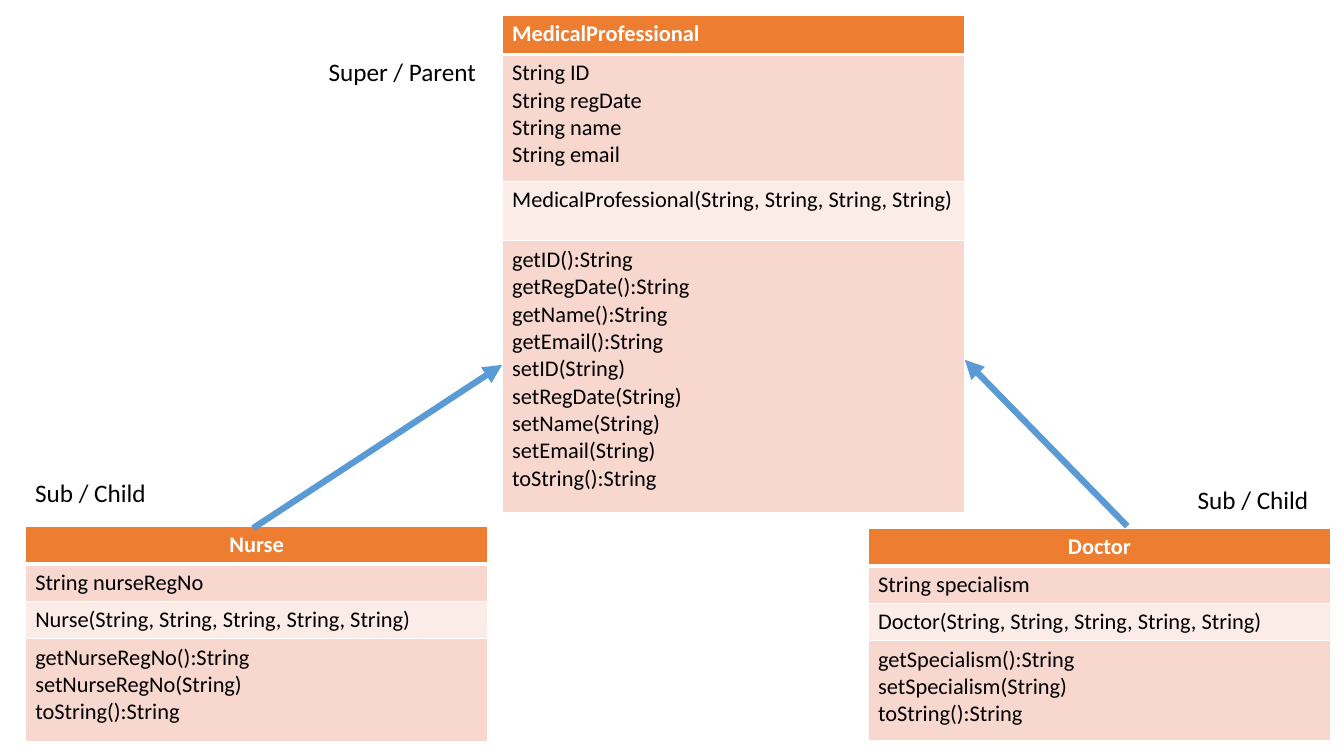
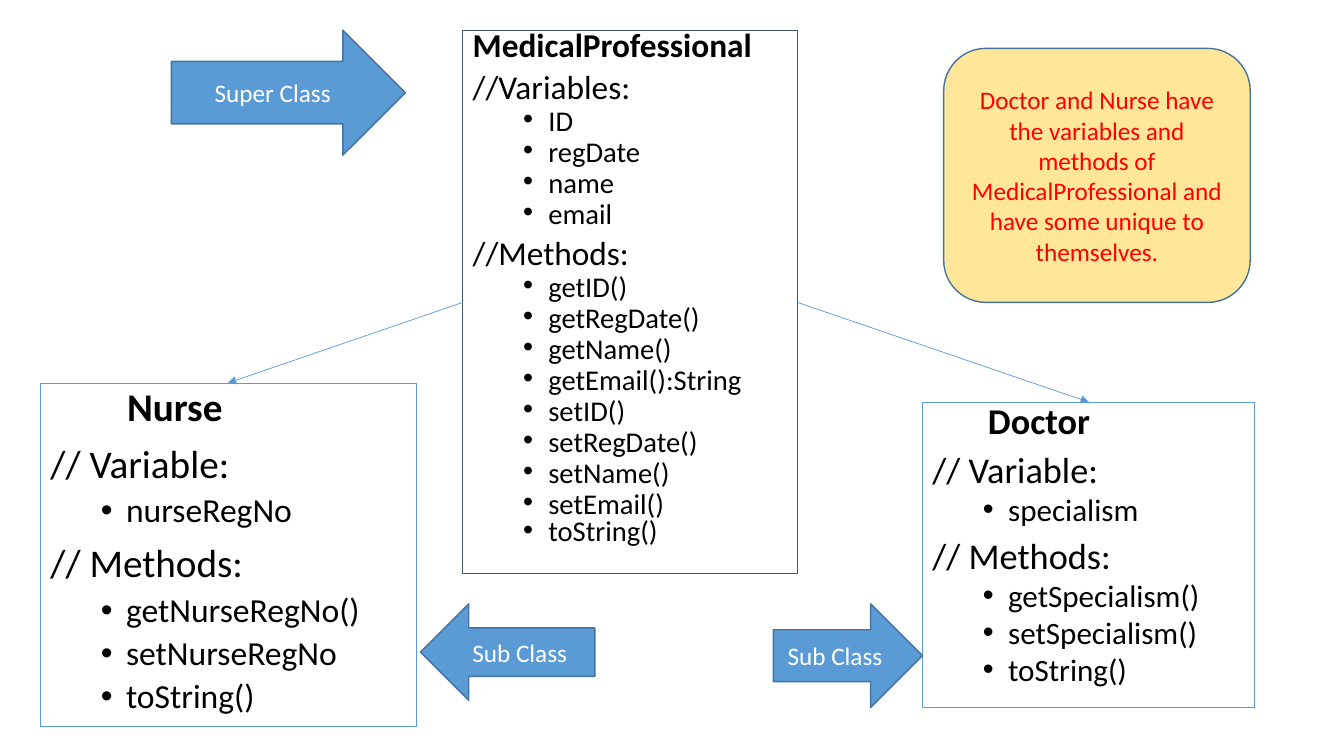
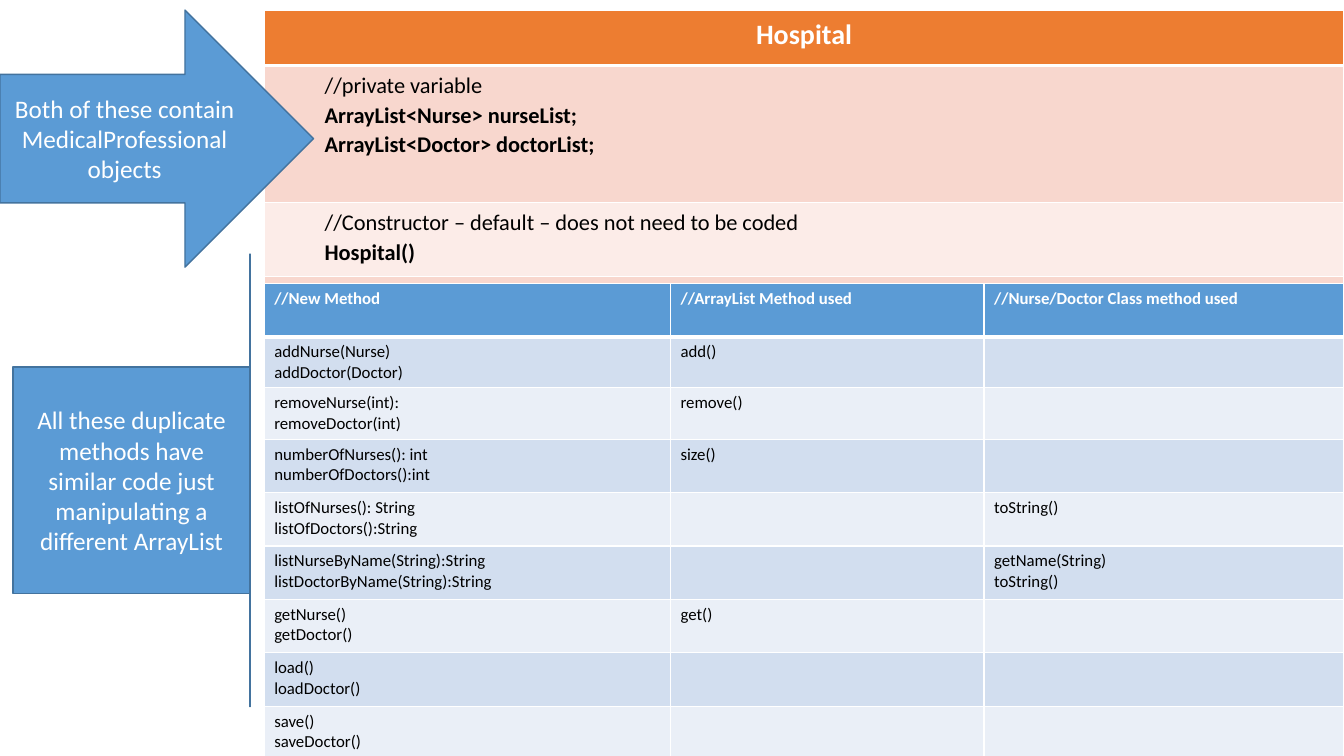
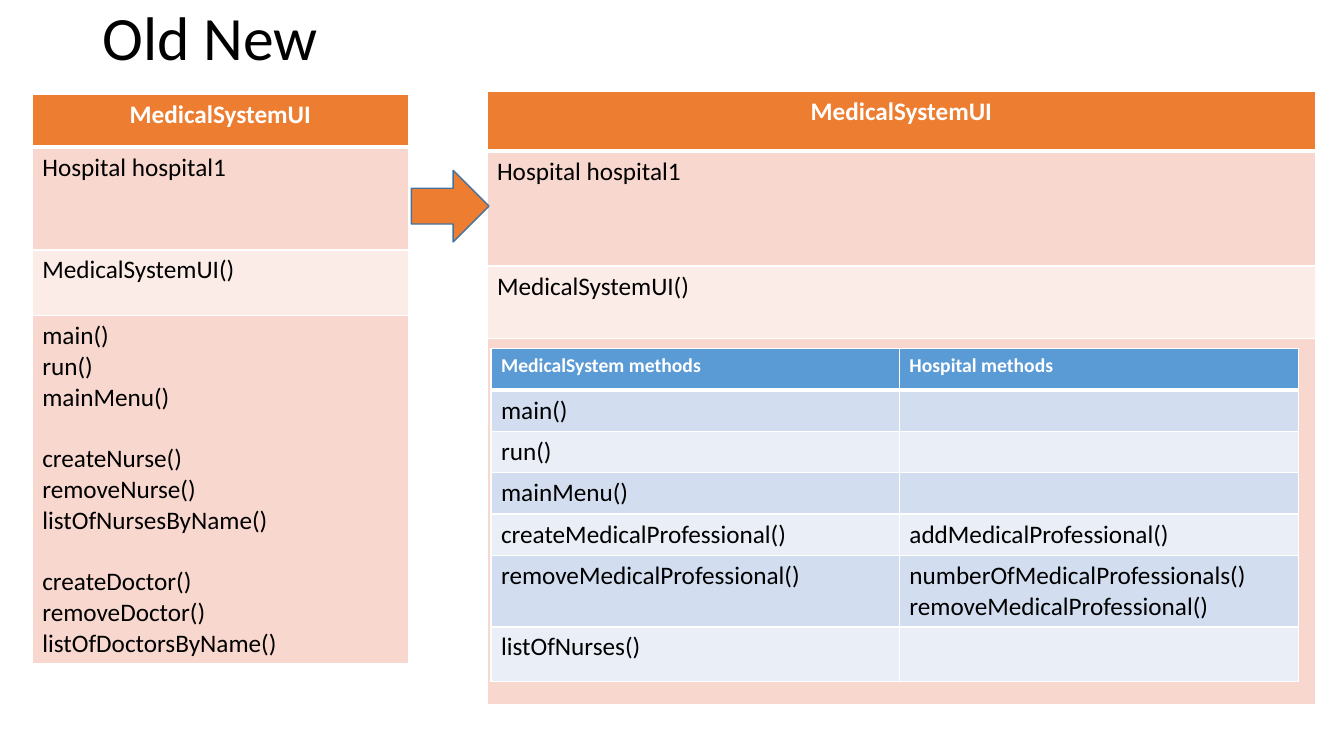
from dataclasses import dataclass

from lxml import etree
from pptx import Presentation, util as u
from pptx.dml.color import RGBColor
from pptx.enum import shapes, text
from pptx.oxml.ns import qn

PX = 9144  # EMU; 100 px make one inch
FONT = "Calibri"
BLACK, WHITE, RED = "000000", "FFFFFF", "FF0000"
BLUE, ORANGE, OUTLINE, SLATE, SAND = "5B9BD5", "ED7D31", "43739E", "44546A", "FFE699"
ORANGE_TABLE = (ORANGE, "F8D7CE", "FCECE8")
BLUE_TABLE = (BLUE, "D2DEEF", "EAEFF7")
LEFT, CENTER = text.PP_ALIGN.LEFT, text.PP_ALIGN.CENTER
Shape = shapes.MSO_SHAPE


@dataclass(frozen=True)
class Box:
    left: int
    top: int
    width: int
    height: int

    def emu(self) -> list[int]:
        return [px(v) for v in (self.left, self.top, self.width, self.height)]


@dataclass(frozen=True)
class Para:
    text: str
    bold: bool = False
    before: float = 0
    after: float = 0
    left: int = 0
    spacing: float = 1


Cell = str | list[Para]


@dataclass(frozen=True)
class Table:
    left: int
    top: int
    cols: list[int]
    rows: list[int]
    cells: list[list[Cell]]
    palette: tuple[str, str, str] = ORANGE_TABLE
    size: int = 16
    header_size: int = 16
    header_align: text.PP_ALIGN = CENTER


@dataclass(frozen=True)
class ClassBox:
    box: Box
    name: str
    name_left: int
    sections: dict[str, list[str]]
    size: float
    item_size: float
    spacing: float
    outline: str = BLUE


@dataclass(frozen=True)
class Callout:
    kind: Shape
    box: Box
    text: str = ""
    fill: str = BLUE
    color: str = WHITE
    adjustments: tuple[float, ...] = ()


@dataclass(frozen=True)
class Arrow:
    start: tuple[int, int]
    end: tuple[int, int]
    width: float


def px(value: int) -> int:
    return value * PX


def rgb(value: str) -> RGBColor:
    return RGBColor.from_string(value)


def add_text(tf, content: str, *, size: float = 18, color: str = BLACK,
             bold: bool = False, align: text.PP_ALIGN = LEFT, level: int = 0,
             left: int = 0, hanging: int = 0, bullet: str = "", tab: int = 0,
             spacing: float = 1, before: float = 0, after: float = 0) -> None:
    """Fill the frame's empty first paragraph, or append another one."""
    first = tf.paragraphs[0]
    is_first = not first.runs
    p = first if is_first else tf.add_paragraph()
    p.level, p.alignment = level, align
    pPr = p._p.get_or_add_pPr()
    pPr.set("marL", str(px(left)))
    pPr.set("indent", str(px(-hanging)))
    if bullet:
        etree.SubElement(pPr, qn("a:buFont")).set("typeface", "Arial")
        etree.SubElement(pPr, qn("a:buChar")).set("char", bullet)
    else:
        etree.SubElement(pPr, qn("a:buNone"))
    if tab:
        stops = etree.SubElement(pPr, qn("a:tabLst"))
        etree.SubElement(stops, qn("a:tab"), pos=str(px(tab)), algn="l")
    p.line_spacing = spacing
    p.space_before = u.Pt(0 if is_first else before)
    p.space_after = u.Pt(after)
    r = p.add_run()
    r.text = content
    r.font.name, r.font.size, r.font.bold = FONT, u.Pt(size), bold
    r.font.color.rgb = rgb(color)


def set_borders(cell, header: bool, below_header: bool) -> None:
    tcPr = cell._tc.get_or_add_tcPr()
    widths = {"L": 1, "R": 1, "T": 3 if below_header else 1, "B": 3 if header else 1}
    for side, width in widths.items():
        ln = etree.SubElement(tcPr, qn(f"a:ln{side}"), w=str(u.Pt(width)))
        fill = etree.SubElement(ln, qn("a:solidFill"))
        etree.SubElement(fill, qn("a:srgbClr"), val=WHITE)


def add_table(s, t: Table) -> None:
    box = Box(t.left, t.top, sum(t.cols), sum(t.rows))
    table = s.shapes.add_table(len(t.rows), len(t.cols), *box.emu()).table
    for column, width in zip(table.columns, t.cols):
        column.width = px(width)
    for i, (row, height) in enumerate(zip(table.rows, t.rows)):
        row.height = px(height)
        header = i == 0
        fill = t.palette[0] if header else t.palette[2 - i % 2]
        for cell, content in zip(row.cells, t.cells[i]):
            set_borders(cell, header, i == 1)
            cell.fill.solid()
            cell.fill.fore_color.rgb = rgb(fill)
            if not content:
                continue
            paras = ([Para(line) for line in content.split("\n")]
                     if isinstance(content, str) else content)
            for para in paras:
                add_text(cell.text_frame, para.text,
                         size=t.header_size if header else t.size,
                         color=WHITE if header else BLACK,
                         bold=header or para.bold,
                         align=t.header_align if header else LEFT,
                         left=para.left, spacing=para.spacing,
                         before=para.before, after=para.after)


def fill_class_box(sp, c: ClassBox) -> None:
    sp.left, sp.top, sp.width, sp.height = c.box.emu()
    sp.shadow.inherit = False
    sp.fill.background()
    sp.line.color.rgb, sp.line.width = rgb(c.outline), u.Pt(0.75)
    tf = sp.text_frame
    tf.word_wrap, tf.auto_size = True, text.MSO_AUTO_SIZE.NONE
    tf.vertical_anchor = text.MSO_ANCHOR.TOP
    add_text(tf, c.name, size=c.size, bold=True, left=c.name_left, spacing=c.spacing)
    for heading, items in c.sections.items():
        add_text(tf, heading, size=c.size, spacing=c.spacing, before=10)
        for item in items:
            add_text(tf, item, size=c.item_size, level=1, left=75, hanging=25,
                     bullet="•", spacing=c.spacing, before=5)


def add_callout(s, c: Callout) -> None:
    sp = s.shapes.add_shape(c.kind, *c.box.emu())
    for i, value in enumerate(c.adjustments):
        sp.adjustments[i] = value
    sp.shadow.inherit = False
    sp.fill.solid()
    sp.fill.fore_color.rgb = rgb(c.fill)
    sp.line.color.rgb, sp.line.width = rgb(OUTLINE), u.Pt(1)
    if c.text:
        sp.text_frame.word_wrap = True
        sp.text_frame.vertical_anchor = text.MSO_ANCHOR.MIDDLE
        add_text(sp.text_frame, c.text, color=c.color, align=CENTER)


def add_arrow(s, a: Arrow) -> None:
    line = s.shapes.add_connector(shapes.MSO_CONNECTOR.STRAIGHT,
                                  *(px(v) for v in a.start + a.end))
    line.line.color.rgb, line.line.width = rgb(BLUE), u.Pt(a.width)
    spPr = line._element.spPr
    etree.SubElement(spPr.find(qn("a:ln")), qn("a:tailEnd"), type="triangle")
    etree.SubElement(spPr, qn("a:effectLst"))


def add_label(s, box: Box, content: str) -> None:
    tf = s.shapes.add_textbox(*box.emu()).text_frame
    tf.word_wrap, tf.auto_size = False, text.MSO_AUTO_SIZE.SHAPE_TO_FIT_TEXT
    add_text(tf, content)


def uml_slide(prs) -> None:
    s = prs.slides.add_slide(prs.slide_layouts[6])
    add_table(s, Table(498, 15, [459], [39, 126, 59, 270], [
        ["MedicalProfessional"],
        ["String ID\nString regDate\nString name\nString email"],
        ["MedicalProfessional(String, String, String, String)"],
        ["getID():String\ngetRegDate():String\ngetName():String\n"
         "getEmail():String\nsetID(String)\nsetRegDate(String)\n"
         "setName(String)\nsetEmail(String)\ntoString():String"],
    ], header_align=LEFT))
    add_table(s, Table(25, 522, [459], [35, 35, 35, 102], [
        ["Nurse"],
        ["String nurseRegNo"],
        ["Nurse(String, String, String, String, String)"],
        ["getNurseRegNo():String\nsetNurseRegNo(String)\ntoString():String"],
    ]))
    add_table(s, Table(861, 524, [459], [33, 33, 33, 99], [
        ["Doctor"],
        ["String specialism"],
        ["Doctor(String, String, String, String, String)"],
        ["getSpecialism():String\nsetSpecialism(String)\ntoString():String"],
    ]))
    add_arrow(s, Arrow((251, 524), (498, 362), 4.5))
    add_arrow(s, Arrow((1118, 522), (957, 357), 4.5))
    add_label(s, Box(316, 51, 168, 40), "Super / Parent")
    for left, top in ((25, 469), (1178, 476)):
        add_label(s, Box(left, top, 132, 40), "Sub / Child")


def inheritance_slide(prs) -> None:
    s = prs.slides.add_slide(prs.slide_layouts[1])
    title = s.shapes.title._element
    title.getparent().remove(title)
    nurse = ClassBox(Box(40, 380, 373, 341), "Nurse", 76, {
        "// Variable:": ["nurseRegNo"],
        "// Methods:": ["getNurseRegNo()", "setNurseRegNo", "toString()"],
    }, 28, 24, 0.9)
    doctor = ClassBox(Box(915, 399, 329, 303), "Doctor", 55, {
        "// Variable:": ["specialism"],
        "// Methods:": ["getSpecialism()", "setSpecialism()", "toString()"],
    }, 25.9, 22.2, 0.8)
    professional = ClassBox(Box(459, 30, 332, 539), "MedicalProfessional", 0, {
        "//Variables:": ["ID", "regDate", "name", "email"],
        "//Methods:": ["getID()", "getRegDate()", "getName()",
                       "getEmail():String", "setID()", "setRegDate()",
                       "setName()", "setEmail()", "toString()"],
    }, 23.8, 20.4, 0.7, SLATE)
    fill_class_box(s.placeholders[1], nurse)
    for c in (doctor, professional):
        sp = s.shapes.add_shape(Shape.RECTANGLE, *c.box.emu())
        fill_class_box(sp, c)
    last = sp.text_frame.paragraphs[-1]
    last.line_spacing, last.space_before = 0.8, u.Pt(0)
    for c in (
        Callout(Shape.RIGHT_ARROW, Box(170, 30, 232, 124), "Super Class"),
        Callout(Shape.LEFT_ARROW, Box(417, 599, 173, 96), "Sub Class"),
        Callout(Shape.RIGHT_ARROW, Box(767, 599, 148, 103), "Sub Class"),
        Callout(Shape.ROUNDED_RECTANGLE, Box(936, 48, 304, 252),
                "Doctor and Nurse have the variables and methods of "
                "MedicalProfessional and have some unique to themselves.",
                SAND, RED),
    ):
        add_callout(s, c)
    add_arrow(s, Arrow((459, 300), (226, 380), 0.5))
    add_arrow(s, Arrow((791, 300), (1080, 399), 0.5))


def hospital_slide(prs) -> None:
    s = prs.slides.add_slide(prs.slide_layouts[6])

    def code(content: str, bold: bool = True) -> Para:
        return Para(content, bold, left=50, spacing=1.07)

    add_table(s, Table(262, 10, [1071], [55, 136, 73, 476], [
        [[Para("Hospital", after=8, spacing=1.07)]],
        [[code("//private variable", False),
          code("ArrayList<Nurse> nurseList;"),
          code("ArrayList<Doctor> doctorList;")]],
        [[code("//Constructor – default – does not need to be coded", False),
          code("Hospital()")]],
        [""],
    ], header_size=20))
    add_table(s, Table(262, 281, [403, 311, 357], [53, 49, 51] + [53] * 6, [
        ["//New Method", "//ArrayList Method used",
         "//Nurse/Doctor Class method used"],
        ["addNurse(Nurse)\naddDoctor(Doctor)", "add()", ""],
        ["removeNurse(int):\nremoveDoctor(int)", "remove()", ""],
        ["numberOfNurses(): int\nnumberOfDoctors():int", "size()", ""],
        ["listOfNurses(): String\nlistOfDoctors():String", "", "toString()"],
        ["listNurseByName(String):String\nlistDoctorByName(String):String",
         "", "getName(String)\ntoString()"],
        ["getNurse()\ngetDoctor()", "get()", ""],
        ["load()\nloadDoctor()", "", ""],
        ["save()\nsaveDoctor()", "", ""],
    ], BLUE_TABLE, 12, 12, LEFT))
    add_callout(s, Callout(
        Shape.RIGHT_ARROW, Box(13, 252, 235, 449),
        "All these duplicate methods have similar code just manipulating "
        "a different ArrayList", adjustments=(0.5, 0)))
    add_callout(s, Callout(
        Shape.RIGHT_ARROW, Box(0, 10, 311, 255),
        "Both of these contain MedicalProfessional objects"))


def interface_slide(prs) -> None:
    s = prs.slides.add_slide(prs.slide_layouts[5])
    title = s.shapes.title
    title.left, title.top, title.width, title.height = Box(92, 1, 1150, 79).emu()
    title.text_frame.auto_size = text.MSO_AUTO_SIZE.NONE
    title.text_frame.vertical_anchor = text.MSO_ANCHOR.MIDDLE
    add_text(title.text_frame, "Old\tNew", size=44, tab=791, spacing=0.9)

    shared = [["MedicalSystemUI"], ["Hospital hospital1"], ["MedicalSystemUI()"]]
    groups = [["main()", "run()", "mainMenu()"],
              ["createNurse()", "removeNurse()", "listOfNursesByName()"],
              ["createDoctor()", "removeDoctor()", "listOfDoctorsByName()"]]
    methods = [Para(name, before=0 if i else 22)
               for group in groups for i, name in enumerate(group)]
    add_table(s, Table(32, 94, [373], [52, 102, 65, 325],
                       shared + [[methods]], size=18, header_size=18))
    add_table(s, Table(483, 91, [822], [59, 114, 72, 363],
                       shared + [[""]], size=18, header_size=18))
    add_table(s, Table(487, 346, [405, 396], [41] * 5 + [54] * 2, [
        ["MedicalSystem methods", "Hospital methods"],
        ["main()", ""],
        ["run()", ""],
        ["mainMenu()", ""],
        ["createMedicalProfessional()", "addMedicalProfessional()"],
        ["removeMedicalProfessional()",
         "numberOfMedicalProfessionals()\nremoveMedicalProfessional()"],
        ["listOfNurses()", ""],
    ], BLUE_TABLE, 18, 14, LEFT))
    add_callout(s, Callout(Shape.RIGHT_ARROW, Box(408, 169, 77, 71), fill=ORANGE))


def main() -> None:
    prs = Presentation()
    prs.slide_width, prs.slide_height = px(1333), px(750)
    for build in (uml_slide, inheritance_slide, hospital_slide, interface_slide):
        build(prs)
    prs.save("out.pptx")


if __name__ == "__main__":
    main()
